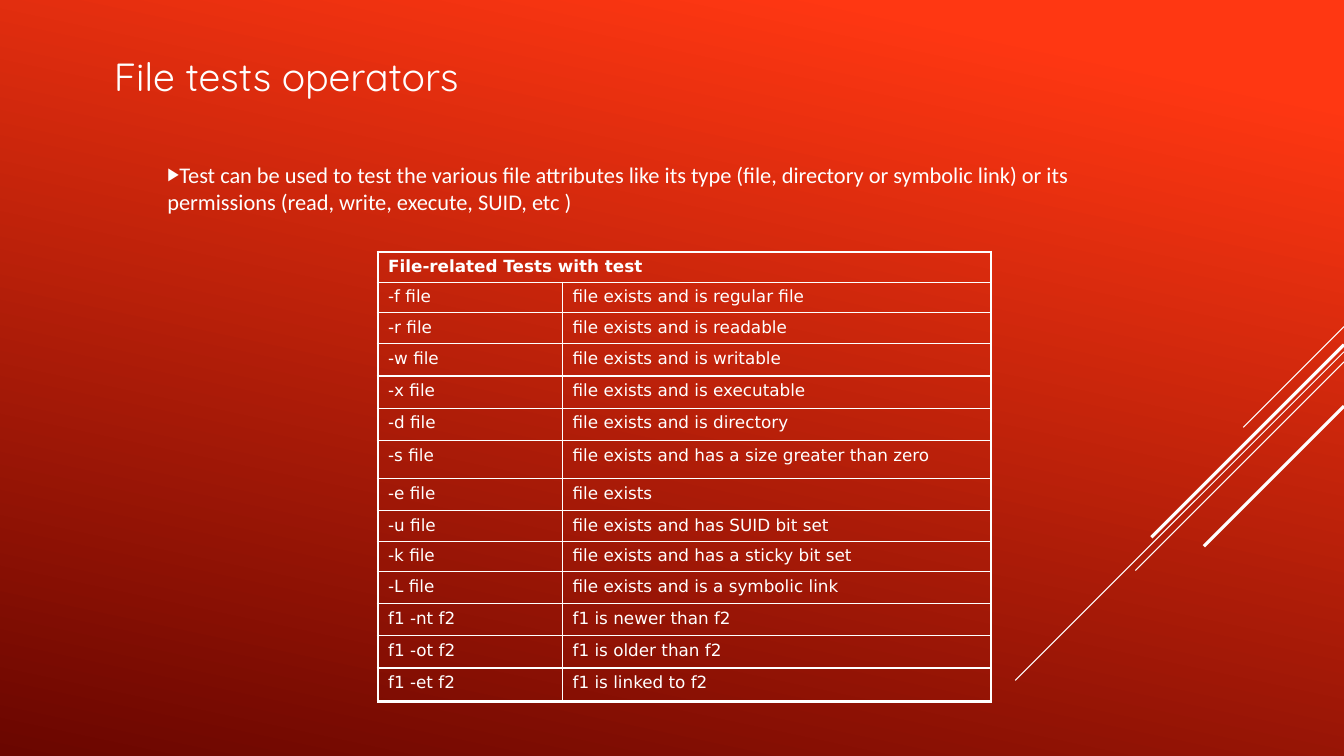
from dataclasses import dataclass

from lxml import etree
from pptx import Presentation
from pptx.dml.color import RGBColor
from pptx.enum.shapes import MSO_CONNECTOR
from pptx.enum.text import MSO_ANCHOR, MSO_AUTO_SIZE, PP_ALIGN
from pptx.oxml.ns import qn
from pptx.util import Inches, Pt

STRAIGHT = MSO_CONNECTOR.STRAIGHT
MIDDLE = MSO_ANCHOR.MIDDLE
NO_AUTOFIT = MSO_AUTO_SIZE.NONE
LEFT = PP_ALIGN.LEFT


@dataclass(frozen=True)
class Theme:
    ink: str = "FFFFFF"
    bright: str = "FF3712"
    dark: str = "6A0600"
    title_font: str = "Quicksand"
    body_font: str = "Calibri"
    table_font: str = "DejaVu Sans"
    title_size: int = 28
    body_size: int = 16
    table_size: int = 12
    hairline: float = 0.75
    thin: float = 1
    thick: float = 2.25


THEME = Theme()
SLIDE_WIDTH, SLIDE_HEIGHT = 13.33, 7.5

TABLE_HEADING = "File-related Tests with test"
FILE_TESTS = [
    ("-f file", "file exists and is regular file", 0.3),
    ("-r file", "file exists and is readable", 0.31),
    ("-w file", "file exists and is writable", 0.32),
    ("-x file", "file exists and is executable", 0.32),
    ("-d file", "file exists and is directory", 0.32),
    ("-s file", "file exists and has a size greater than zero", 0.38),
    ("-e file", "file exists", 0.32),
    ("-u file", "file exists and has SUID bit set", 0.3),
    ("-k file", "file exists and has a sticky bit set", 0.3),
    ("-L file", "file exists and is a symbolic link", 0.32),
    ("f1 -nt f2", "f1 is newer than f2", 0.32),
    ("f1 -ot f2", "f1 is older than f2", 0.32),
    ("f1 -et f2", "f1 is linked to f2", 0.33),
]
DIAGONALS = [
    (3.24, 1, THEME.hairline),
    (3.49, 3.26, THEME.hairline),
    (3.59, 2.07, THEME.hairline),
    (3.42, 1.91, THEME.thick),
    (4.03, 1.39, THEME.thick),
]


def add_child(parent, tag, **attributes):
    child = etree.SubElement(parent, qn(tag))
    for name, value in attributes.items():
        child.set(name, str(value))
    return child


def format_paragraph(paragraph, font_name, size, bold=False):
    paragraph.alignment = LEFT
    for run in paragraph.runs:
        run.font.name = font_name
        run.font.size = Pt(size)
        run.font.bold = bold
        run.font.color.rgb = RGBColor.from_string(THEME.ink)


def set_relative_space_before(paragraph, percent):
    properties = paragraph._p.get_or_add_pPr()
    space = add_child(properties, "a:spcBef")
    add_child(space, "a:spcPct", val=percent * 1000)
    properties.insert(0, space)


def set_bullet(paragraph, character, percent):
    properties = paragraph._p.get_or_add_pPr()
    properties.set("marL", "0")
    properties.set("indent", "0")
    add_child(add_child(properties, "a:buClr"), "a:srgbClr", val=THEME.ink)
    add_child(properties, "a:buSzPct", val=percent * 1000)
    add_child(properties, "a:buChar", char=character)


def fill_placeholder(placeholder, box, text, font_name, size):
    placeholder.left, placeholder.top, placeholder.width, placeholder.height = map(Inches, box)
    text_frame = placeholder.text_frame
    text_frame.text = text
    text_frame.word_wrap = True
    text_frame.auto_size = NO_AUTOFIT
    text_frame.vertical_anchor = MIDDLE
    paragraph = text_frame.paragraphs[0]
    format_paragraph(paragraph, font_name, size)
    return paragraph


def paint_background(slide):
    fill = slide.background.fill
    fill.gradient()
    fill.gradient_angle = 258
    stops = [(0.1, THEME.bright), (1, THEME.dark)]
    for stop, (position, color) in zip(fill.gradient_stops, stops):
        stop.position = position
        stop.color.rgb = RGBColor.from_string(color)


def add_diagonals(slide, right):
    for top, reach, weight in DIAGONALS:
        line = slide.shapes.add_connector(
            STRAIGHT, Inches(right), Inches(top), Inches(right - reach), Inches(top + reach))
        line.line.color.rgb = RGBColor.from_string(THEME.ink)
        line.line.width = Pt(weight)
        add_child(line._element.spPr, "a:effectLst")


def set_borders(cell, weights):
    properties = cell._tc.get_or_add_tcPr()
    for tag, weight in zip(("a:lnL", "a:lnR", "a:lnT", "a:lnB"), weights):
        border = add_child(properties, tag, w=Pt(weight))
        add_child(add_child(border, "a:solidFill"), "a:srgbClr", val=THEME.ink)


def add_test_table(slide, box):
    left, top, width, height = map(Inches, box)
    row_total = len(FILE_TESTS) + 1
    table = slide.shapes.add_table(row_total, 2, left, top, width, height).table
    table.first_row = table.horz_banding = False
    table.columns[0].width = Inches(1.83)
    table.columns[1].width = width - Inches(1.83)
    table.cell(0, 0).merge(table.cell(0, 1))

    rows = [(TABLE_HEADING, "", 0.3)] + FILE_TESTS
    for row_index, (operator, meaning, row_height) in enumerate(rows):
        table.rows[row_index].height = Inches(row_height)
        heading = row_index == 0
        for column_index, text in enumerate((operator, meaning)):
            cell = table.cell(row_index, column_index)
            outer_edges = (
                column_index == 0,
                column_index == 1 or heading,
                heading,
                row_index == row_total - 1,
            )
            set_borders(cell, [THEME.thick if outer else THEME.thin for outer in outer_edges])
            cell.fill.background()
            if cell.is_spanned:
                continue
            cell.text_frame.text = text
            paragraph = cell.text_frame.paragraphs[0]
            format_paragraph(paragraph, THEME.table_font, THEME.table_size, heading)
            set_relative_space_before(paragraph, 20)


def build_file_tests_slide(presentation):
    slide = presentation.slides.add_slide(presentation.slide_layouts[1])
    paint_background(slide)
    add_diagonals(slide, SLIDE_WIDTH)
    fill_placeholder(slide.shapes.title, (1.03, 0.28, 8.42, 0.95),
                     "File tests operators", THEME.title_font, THEME.title_size)
    description = fill_placeholder(
        slide.placeholders[1], (1.56, 1.49, 10.04, 0.75),
        "Test can be used to test the various file attributes like its type "
        "(file, directory or symbolic link) or its permissions "
        "(read, write, execute, SUID, etc )",
        THEME.body_font, THEME.body_size)
    description.space_after = Pt(6)
    set_relative_space_before(description, 20)
    set_bullet(description, "\u25b6", 80)
    add_test_table(slide, (3.75, 2.5, 6.08, 4.47))


presentation = Presentation()
presentation.slide_width = Inches(SLIDE_WIDTH)
presentation.slide_height = Inches(SLIDE_HEIGHT)
build_file_tests_slide(presentation)
presentation.save("out.pptx")
